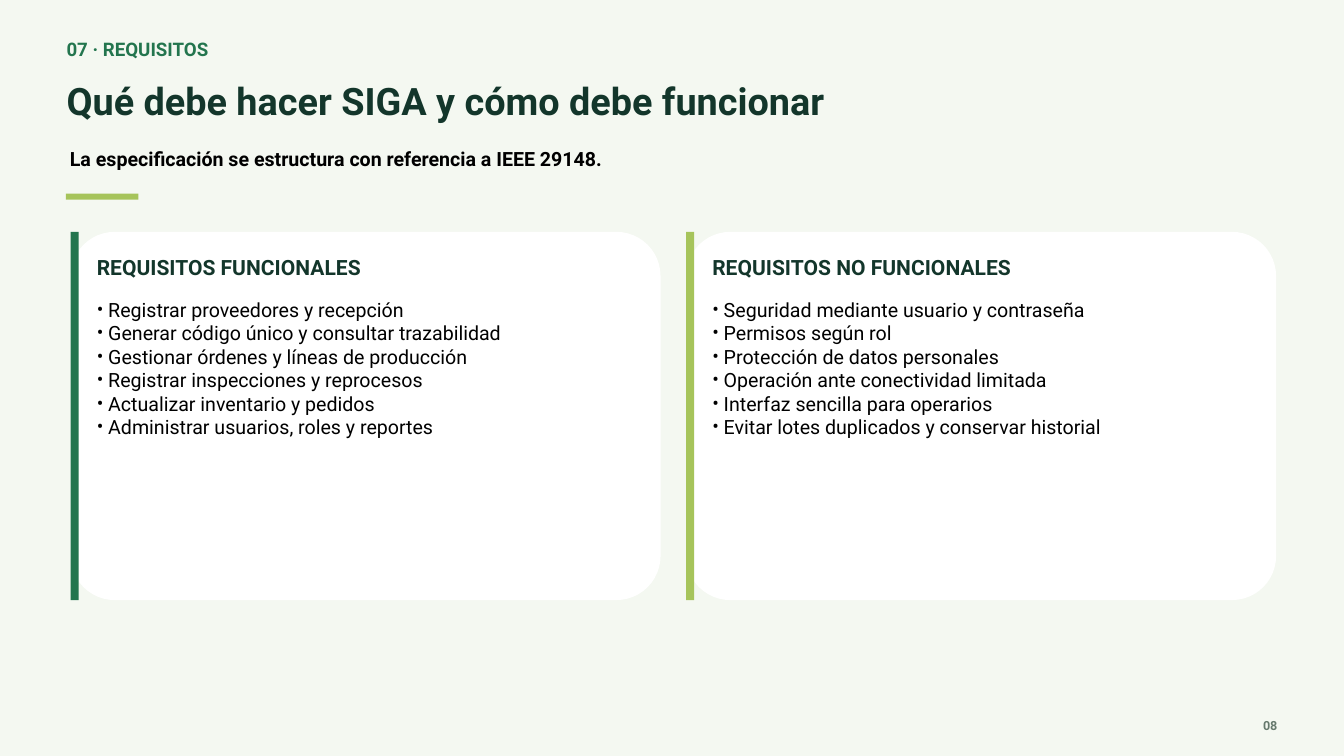
"""Builds the SIGA requirements slide with functional and non-functional lists."""
from lxml.etree import SubElement
from pptx import Presentation
from pptx.dml.color import RGBColor
from pptx.enum.shapes import MSO_SHAPE
from pptx.enum.text import MSO_ANCHOR, MSO_AUTO_SIZE, PP_ALIGN
from pptx.oxml.ns import qn
from pptx.util import Inches, Pt

FONT = "Roboto"
GREEN, LIME, DARK, BLACK, GREY = "23754E", "A6C45B", "13362B", "000000", "66796D"


def write(box, place, lines, size, color, bold=True, align=PP_ALIGN.LEFT, bullet=False):
    box.left, box.top, box.width, box.height = [Inches(length) for length in place]
    frame = box.text_frame
    frame.margin_left = frame.margin_right = frame.margin_top = frame.margin_bottom = 0
    frame.word_wrap = True
    frame.auto_size = MSO_AUTO_SIZE.NONE
    frame.vertical_anchor = MSO_ANCHOR.TOP
    frame.text = "\n".join(lines)
    for paragraph in frame.paragraphs:
        if bullet:
            properties = paragraph._p.get_or_add_pPr()
            properties.set("marL", str(Inches(0.17)))
            properties.set("indent", str(-Inches(0.17)))
            SubElement(properties, qn("a:buFont"), typeface=FONT)
            SubElement(properties, qn("a:buChar"), char="•")
        paragraph.alignment = align
        paragraph.line_spacing = Pt(size * 1.2)
        paragraph.space_before = paragraph.space_after = Pt(0)
        paragraph.font.name = FONT
        paragraph.font.size = Pt(size)
        paragraph.font.bold = bold
        paragraph.font.color.rgb = RGBColor.from_string(color)
    shapes.element.append(box.element)


def panel(kind, place, color):
    shape = shapes.add_shape(kind, *[Inches(length) for length in place])
    shape.shadow.inherit = False
    shape.fill.solid()
    shape.fill.fore_color.rgb = RGBColor.from_string(color)
    shape.line.fill.background()
    return shape


presentation = Presentation()
presentation.slide_width, presentation.slide_height = Inches(20), Inches(11.25)
slide = presentation.slides.add_slide(presentation.slide_layouts.get_by_name("Comparison"))
slide.background.fill.solid()
slide.background.fill.fore_color.rgb = RGBColor.from_string("F4F8F1")
shapes = slide.shapes
title, *bodies = list(slide.placeholders)

section = shapes.add_textbox(0, 0, 0, 0)
write(section, (0.99, 0.57, 17.59, 0.34), ["07 · REQUISITOS"], 20, GREEN)
write(title, (0.99, 1.15, 17.89, 0.8), ["Qué debe hacer SIGA y cómo debe funcionar"], 40.5, DARK)
subtitle = shapes.add_textbox(0, 0, 0, 0)
write(subtitle, (1.04, 2.18, 17.74, 0.35),
      ["La especificación se estructura con referencia a IEEE 29148."], 21, BLACK)
panel(MSO_SHAPE.RECTANGLE, (0.98, 2.88, 1.08, 0.09), LIME)

requirements = [
    (GREEN, "REQUISITOS FUNCIONALES", [
        "Registrar proveedores y recepción",
        "Generar código único y consultar trazabilidad",
        "Gestionar órdenes y líneas de producción",
        "Registrar inspecciones y reprocesos",
        "Actualizar inventario y pedidos",
        "Administrar usuarios, roles y reportes",
    ]),
    (LIME, "REQUISITOS NO FUNCIONALES", [
        "Seguridad mediante usuario y contraseña",
        "Permisos según rol",
        "Protección de datos personales",
        "Operación ante conectividad limitada",
        "Interfaz sencilla para operarios",
        "Evitar lotes duplicados y conservar historial",
    ]),
]
for column, (accent, heading, items) in enumerate(requirements):
    left = 1.05 + column * 9.16
    card = panel(MSO_SHAPE.ROUNDED_RECTANGLE, (left, 3.45, 8.78, 5.48), "FFFFFF")
    card.adjustments[0] = 0.12
    panel(MSO_SHAPE.RECTANGLE, (left, 3.45, 0.12, 5.48), accent)
    heading_box, list_box = bodies[2 * column:2 * column + 2]
    write(heading_box, (left + 0.39, 3.78, 8.06, 0.41), [heading], 22.5, DARK)
    write(list_box, (left + 0.39, 4.43, 8.03, 4.24), items, 21, BLACK, bold=False, bullet=True)

page_number = shapes.add_textbox(0, 0, 0, 0)
write(page_number, (18.45, 10.68, 0.56, 0.19), ["08"], 13.5, GREY, align=PP_ALIGN.RIGHT)

presentation.save("out.pptx")
